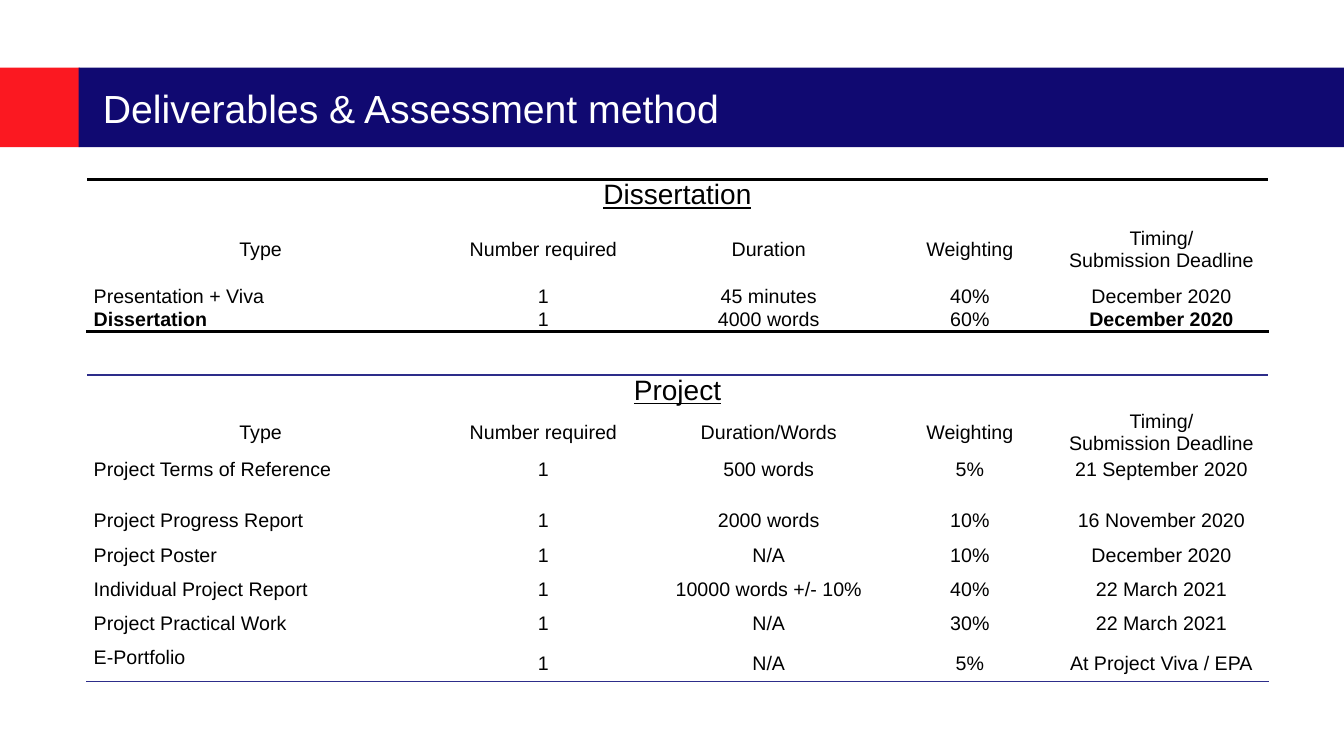
from pptx import Presentation
from pptx.dml.color import RGBColor
from pptx.enum.shapes import MSO_SHAPE
from pptx.enum.text import MSO_ANCHOR, PP_ALIGN
from pptx.oxml import parse_xml
from pptx.oxml.ns import nsdecls
from pptx.util import Inches, Pt

FONT = "Arial"
LEFT = 0.86
COLS = [3.45, 2.16, 2.31, 1.68, 2.12]
DUE = "Timing/\nSubmission Deadline"

THESIS = [
    ["Type", "Number required", "Duration", "Weighting", DUE],
    ["Presentation + Viva", "1", "45 minutes", "40%", "December 2020"],
    ["Dissertation", "1", "4000 words", "60%", "December 2020"],
]
PROJECT = [
    ["Type", "Number required", "Duration/Words", "Weighting", DUE],
    ["Project Terms of Reference", "1", "500 words", "5%", "21 September 2020"],
    ["Project Progress Report", "1", "2000 words", "10%", "16 November 2020"],
    ["Project Poster", "1", "N/A", "10%", "December 2020"],
    ["Individual Project Report", "1", "10000 words +/- 10%", "40%", "22 March 2021"],
    ["Project Practical Work", "1", "N/A", "30%", "22 March 2021"],
    ["E-Portfolio", "1", "N/A", "5%", "At Project Viva / EPA"],
]


def color(code):
    return RGBColor.from_string(code)


def add_run(para, text, size, code="000000", bold=False, under=False):
    run = para.add_run()
    run.text = text
    font = run.font
    font.name, font.size = FONT, Pt(size)
    font.bold, font.underline = bold, under
    font.color.rgb = color(code)


def add_band(slide, left, width, code):
    """Put a coloured bar behind the title."""
    band = slide.shapes.add_shape(MSO_SHAPE.RECTANGLE, Inches(left), Inches(0.67),
                                  Inches(width), Inches(0.79))
    band.shadow.inherit = False
    band.fill.solid()
    band.fill.fore_color.rgb = color(code)
    band.line.fill.background()
    slide.shapes.title.element.addprevious(band.element)


def set_title(slide, text):
    title = slide.shapes.title
    title.left, title.top = Inches(0.92), Inches(0.67)
    title.width, title.height = Inches(11.08), Inches(0.79)
    frame = title.text_frame
    frame.vertical_anchor = MSO_ANCHOR.MIDDLE
    para = frame.paragraphs[0]
    para.alignment = PP_ALIGN.LEFT
    add_run(para, text, 28, "FFFFFF")


def set_edge(cell, side, code, width):
    edge = parse_xml(
        f'<a:ln{side} {nsdecls("a")} w="{Pt(width)}"><a:solidFill>'
        f'<a:srgbClr val="{code}"/></a:solidFill></a:ln{side}>')
    cell._tc.get_or_add_tcPr().insert(0, edge)


def fill_cell(cell, text, size=14, align=PP_ALIGN.CENTER, mid=False, **style):
    cell.vertical_anchor = MSO_ANCHOR.MIDDLE if mid else MSO_ANCHOR.TOP
    for num, line in enumerate(text.split("\n")):
        frame = cell.text_frame
        para = frame.add_paragraph() if num else frame.paragraphs[0]
        para.alignment = align
        add_run(para, line, size, **style)


def add_grid(slide, top, name, rows, heights, edge, fill=None, bold=(), mid=()):
    """Add a table with a merged heading; bold and mid hold (row, column) pairs."""
    frame = slide.shapes.add_table(len(heights), len(COLS), Inches(LEFT), Inches(top),
                                   Inches(sum(COLS)), Inches(sum(heights)))
    table = frame.table
    table.first_row = table.horz_banding = False
    for col, width in zip(table.columns, COLS):
        col.width = Inches(width)
    for row, height in zip(table.rows, heights):
        row.height = Inches(height)
    for cell in table.iter_cells():
        cell.margin_left = cell.margin_right = Inches(0.07)
        cell.margin_top = cell.margin_bottom = 0
        if fill:
            cell.fill.solid()
            cell.fill.fore_color.rgb = color(fill)
        else:
            cell.fill.background()
    for c in range(len(COLS)):
        set_edge(table.cell(0, c), "T", *edge)
        set_edge(table.cell(len(rows), c), "B", *edge)
    table.cell(0, 0).merge(table.cell(0, len(COLS) - 1))
    fill_cell(table.cell(0, 0), name, 20, under=True)
    for r, row in enumerate(rows, 1):
        for c, text in enumerate(row):
            align = PP_ALIGN.LEFT if r > 1 and c == 0 else PP_ALIGN.CENTER
            fill_cell(table.cell(r, c), text, align=align,
                      mid=r == 1 or (r, c) in mid, bold=(r, c) in bold)


def main():
    deck = Presentation()
    deck.slide_width, deck.slide_height = Inches(13.33), Inches(7.5)
    slide = deck.slides.add_slide(deck.slide_layouts[5])
    add_band(slide, 0, 0.79, "FB1821")
    add_band(slide, 0.78, 12.55, "100971")
    set_title(slide, "Deliverables & Assessment method")
    add_grid(slide, 3.72, "Project", PROJECT, [0.32, 0.51, 0.51] + [0.34] * 5,
             ("2D2D8A", 1), mid=[(7, c) for c in range(1, 5)])
    add_grid(slide, 1.78, "Dissertation", THESIS, [0.35, 0.7, 0.23, 0.23],
             ("000000", 2), fill="FFFFFF", bold=[(3, 0), (3, 4)])
    deck.save("out.pptx")


if __name__ == "__main__":
    main()
